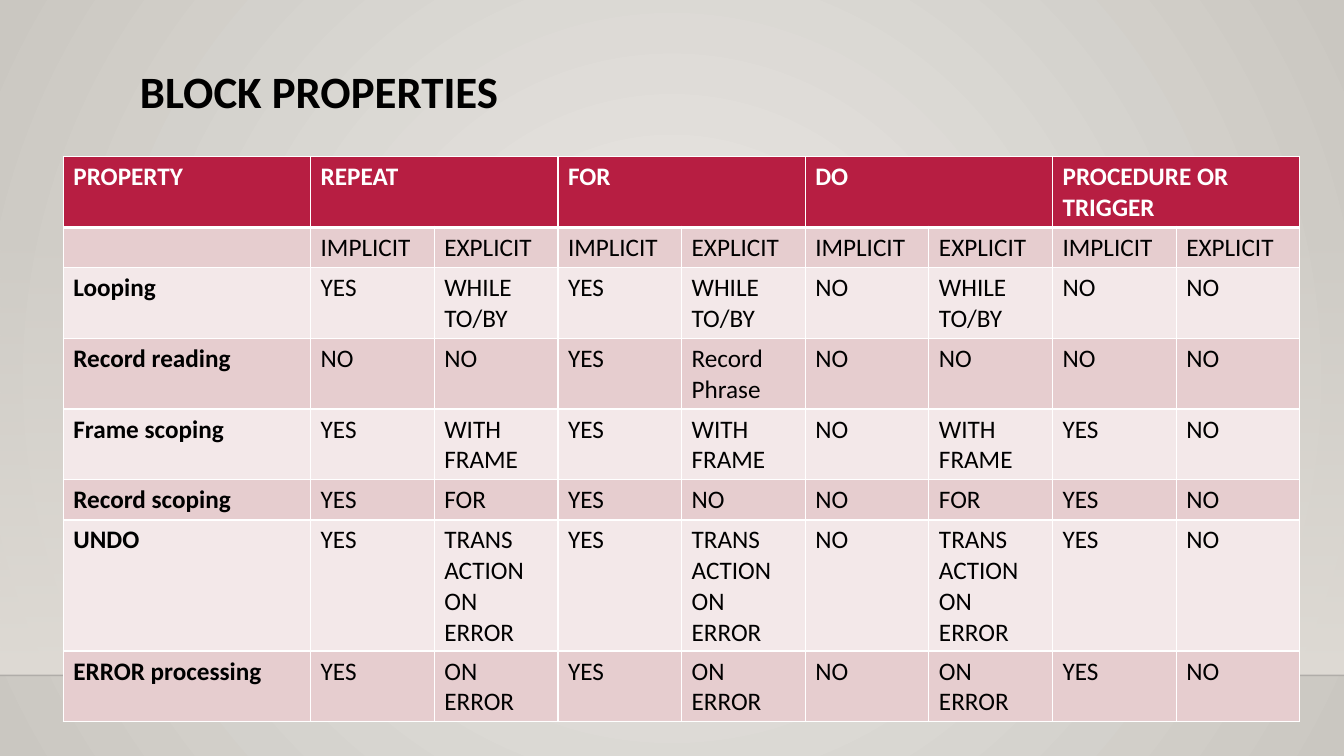
from lxml.etree import SubElement
from pptx import Presentation
from pptx.dml.color import RGBColor
from pptx.enum.shapes import MSO_CONNECTOR, MSO_SHAPE
from pptx.oxml.ns import qn
from pptx.util import Pt

COLORS = {
    "glow": "ECEAE7", "edge": "CAC7C1", "wall": "DFDBD5", "floor": "000001",
    "header": "B71E42", "dark band": "E6CDCF", "light band": "F3E8E9",
    "black": "000000", "white": "FFFFFF",
}
RGB = {name: RGBColor.from_string(value) for name, value in COLORS.items()}

HEADERS = ["PROPERTY", "REPEAT", "FOR", "DO", "PROCEDURE OR TRIGGER"]
PROPERTIES = [
    [""] + ["IMPLICIT", "EXPLICIT"] * 4,
    ["Looping", "YES", "WHILE TO/BY", "YES", "WHILE TO/BY", "NO", "WHILE TO/BY", "NO", "NO"],
    ["Record reading", "NO", "NO", "YES", "Record Phrase", "NO", "NO", "NO", "NO"],
    ["Frame scoping", "YES", "WITH FRAME", "YES", "WITH FRAME", "NO", "WITH FRAME", "YES", "NO"],
    ["Record scoping", "YES", "FOR", "YES", "NO", "NO", "FOR", "YES", "NO"],
    ["UNDO", "YES", "TRANS ACTION ON ERROR", "YES", "TRANS ACTION ON ERROR",
     "NO", "TRANS ACTION ON ERROR", "YES", "NO"],
    ["ERROR processing", "YES", "ON ERROR", "YES", "ON ERROR", "NO", "ON ERROR", "YES", "NO"],
]
ROW_HEIGHTS = [50.4, 28.8, 50.4, 50.4, 50.4, 28.8, 93.6, 50.4]
COLUMN_WIDTH = 88.34


def style_font(paragraph, size, color, bold):
    paragraph.font.color.rgb = RGB[color]
    for name, value in {"name": "Calibri", "size": Pt(size), "bold": bold}.items():
        setattr(paragraph.font, name, value)


def draw_borders(cell, widths):
    """Give the cell white borders; widths maps L, R, T, B to points."""
    properties = cell._tc.get_or_add_tcPr()
    for position, (side, width) in enumerate(widths.items()):
        border = SubElement(properties, qn(f"a:ln{side}"), w=str(Pt(width)))
        paint = SubElement(border, qn("a:solidFill"))
        SubElement(paint, qn("a:srgbClr"), val=COLORS["white"])
        properties.insert(position, border)


prs = Presentation()
prs.slide_width, prs.slide_height = Pt(960), Pt(540)
slide = prs.slides.add_slide(prs.slide_layouts[6])

# Backdrop: round glow, wall fading in downwards, floor line
backdrop = slide.background.fill
backdrop.gradient()
for stop, color in zip(backdrop.gradient_stops, ["glow", "edge"]):
    stop.color.rgb = RGB[color]
direction = slide._element.xpath(".//p:bg//a:lin")[0]
gradient = direction.getparent()
gradient.remove(direction)
circle = SubElement(gradient, qn("a:path"), path="circle")
SubElement(circle, qn("a:fillToRect"), l="50000", t="50000", r="50000", b="50000")

wall = slide.shapes.add_shape(MSO_SHAPE.RECTANGLE, 0, Pt(159), Pt(960), Pt(323.4))
wall.shadow.inherit = False
wall.line.fill.background()
wall.fill.gradient()
wall.fill.gradient_angle = 270
for stop in wall.fill.gradient_stops:
    stop.color.rgb = RGB["wall"]

floor = slide.shapes.add_connector(MSO_CONNECTOR.STRAIGHT, 0, Pt(482.4), Pt(960), Pt(482.4))
floor.line.width = Pt(1)
floor.line.color.rgb = RGB["floor"]
SubElement(floor._element.spPr, qn("a:effectLst"))

for part, opacity in [(wall, "0"), (floor, "20000")]:
    first_color = part._element.spPr.xpath(".//a:srgbClr")[0]
    SubElement(first_color, qn("a:alpha"), val=opacity)

title = slide.shapes.add_textbox(Pt(92.9), Pt(46), Pt(756), Pt(59)).text_frame
title.word_wrap = True
title.text = "BLOCK PROPERTIES"
title.paragraphs[0].line_spacing = 0.9
style_font(title.paragraphs[0], 32, "black", True)

# Block properties: each block type spans an implicit and an explicit column
column_count = len(PROPERTIES[0])
table = slide.shapes.add_table(
    len(ROW_HEIGHTS), column_count, Pt(45.2), Pt(112),
    Pt(COLUMN_WIDTH * (column_count + 1)), Pt(sum(ROW_HEIGHTS)),
).table
for index, column in enumerate(table.columns):
    column.width = Pt(COLUMN_WIDTH * (2 if index == 0 else 1))
for row, height in zip(table.rows, ROW_HEIGHTS):
    row.height = Pt(height)

header_row = HEADERS[:1] + [text for block in HEADERS[1:] for text in (block, "")]
for r, texts in enumerate([header_row] + PROPERTIES):
    band = "header" if r == 0 else "dark band" if r % 2 else "light band"
    for c, text in enumerate(texts):
        cell = table.cell(r, c)
        cell.text = text
        cell.fill.solid()
        cell.fill.fore_color.rgb = RGB[band]
        style_font(cell.text_frame.paragraphs[0], 18,
                   "white" if r == 0 else "black", r == 0 or c == 0)
        draw_borders(cell, {"L": 1, "R": 1, "T": 3 if r == 1 else 1, "B": 3 if r == 0 else 1})
for c in range(1, column_count, 2):
    table.cell(0, c).merge(table.cell(0, c + 1))

prs.save("out.pptx")
